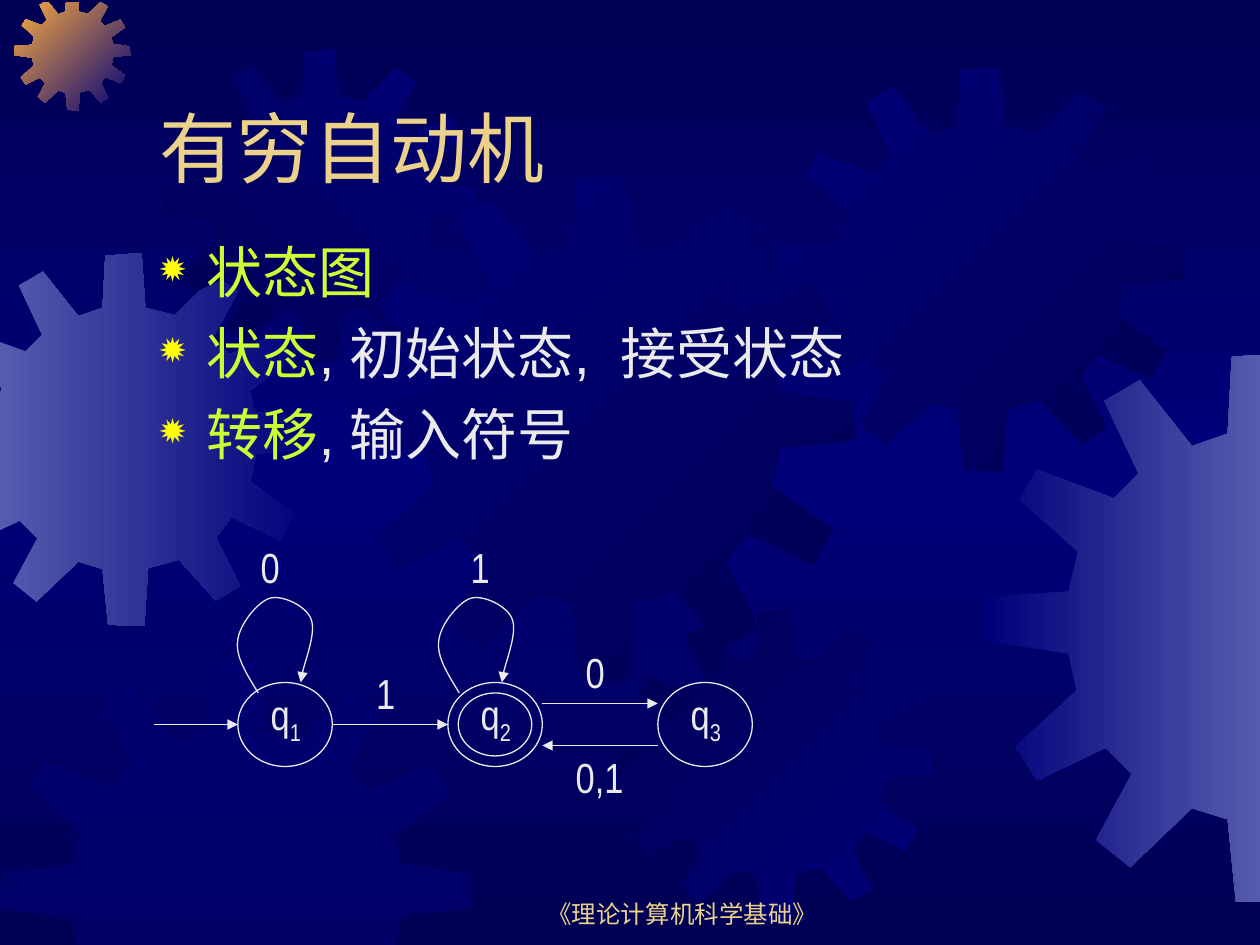
import copy
import pptx
import pptx.dml.color
import pptx.enum.shapes
import pptx.enum.text
import pptx.oxml
import pptx.oxml.ns
import pptx.util

THEME = {
    "night": "000054", "navy": "00007A", "steel": "555BAD", "orange": "FCAB40",
    "gold": "EBD189", "lime": "CCFF33", "chalk": "EAEAEA", "bullet": "FFFF00",
    "font": "Arial", "label_font": "Arial Narrow",
    "title": 44, "body": 32, "label": 24, "footer": 14, "line": 0.75,
}
DRAWING = 'xmlns:a="http://schemas.openxmlformats.org/drawingml/2006/main"'


def write(paragraph, text, size, color, font="font", baseline=None):
    run = paragraph.add_run()
    run.text = text
    run.font.size = pptx.util.Pt(THEME[size])
    run.font.name = THEME[font]
    run.font.color.rgb = pptx.dml.color.RGBColor.from_string(THEME[color])
    if baseline:
        run.font._element.set("baseline", str(baseline * 1000))


def outline(shape, arrow=True):
    shape.line.color.rgb = pptx.dml.color.RGBColor.from_string(THEME["chalk"])
    shape.line.width = pptx.util.Pt(THEME["line"])
    if arrow:
        shape.line._get_or_add_ln().append(
            pptx.oxml.parse_xml(f'<a:tailEnd {DRAWING} type="triangle"/>'))


presentation = pptx.Presentation()
presentation.slide_width = pptx.util.Inches(10)
presentation.slide_height = pptx.util.Inches(7.5)
COLUMNS, ROWS = 120, 90
cell = presentation.slide_width // COLUMNS
slide = presentation.slides.add_slide(presentation.slide_layouts[5])
shapes = slide.shapes

background = slide.background.fill
background.gradient()
background.gradient_angle = 270
stop_list = background.gradient_stops[0]._gs.getparent()
stop_list.append(copy.deepcopy(stop_list[0]))
for stop, color, position in zip(background.gradient_stops, ("night", "navy", "night"), (0, 0.5, 1)):
    stop.color.rgb = pptx.dml.color.RGBColor.from_string(THEME[color])
    stop.position = position

GEAR_SPAN = 401
GEAR = [
    (255, 67), (223, 59), (219, 0), (180, 3), (177, 59), (151, 68), (113, 20), (87, 35),
    (112, 88), (94, 106), (38, 85), (25, 107), (68, 145), (61, 174), (1, 178), (0, 210),
    (61, 219), (67, 246), (22, 287), (38, 312), (88, 288), (107, 307), (81, 355), (106, 375),
    (151, 332), (177, 340), (183, 400), (222, 401), (226, 339), (259, 330), (299, 374), (325, 358),
    (299, 306), (316, 284), (368, 309), (384, 281), (336, 246), (342, 216), (401, 210), (400, 180),
    (341, 171), (335, 148), (383, 114), (367, 87), (313, 109), (296, 91), (323, 41), (297, 25),
]
gears = [
    (-5.9, 24.1, 35.5, "steel", "navy", 0),
    (1.4, -0.5, 11, "orange", "navy", 45),
    (15.6, 4.7, 29.8, "night", "navy", 315),
    (33.2, 16.7, 48.2, "navy", "night", 45),
    (0, 63, 44.9, "navy", None, 0),
    (58.9, 58.1, 29.8, "night", "navy", 45),
    (74.2, 6.4, 38.5, "navy", "night", 45),
    (93.8, 33.6, 52.4, "navy", "steel", 0),
]
slide_edges = [(0, 0, 1), (0, COLUMNS, -1), (1, 0.2, 1), (1, ROWS, -1)]
for left, top, span, first_color, last_color, angle in gears:
    points = [(left + x * span / GEAR_SPAN, top + y * span / GEAR_SPAN) for x, y in GEAR]
    for axis, limit, side in slide_edges:
        kept = []
        for start, end in zip(points, points[1:] + points[:1]):
            start_depth = side * (start[axis] - limit)
            end_depth = side * (end[axis] - limit)
            if start_depth >= 0:
                kept.append(start)
            if start_depth * end_depth < 0:
                share = start_depth / (start_depth - end_depth)
                kept.append(tuple(a + share * (b - a) for a, b in zip(start, end)))
        points = kept
    points = [(x * cell, y * cell) for x, y in points]
    builder = shapes.build_freeform(*points[0])
    builder.add_line_segments(points[1:], close=True)
    gear = builder.convert_to_shape()
    gear.shadow.inherit = False
    gear.line.fill.background()
    if last_color:
        gear.fill.gradient()
        gear.fill.gradient_angle = (360 - angle) % 360
        for stop, color in zip(gear.fill.gradient_stops, (first_color, last_color)):
            stop.color.rgb = pptx.dml.color.RGBColor.from_string(THEME[color])
    else:
        gear.fill.solid()
        gear.fill.fore_color.rgb = pptx.dml.color.RGBColor.from_string(THEME[first_color])
        gear.fill._xPr.find(".//" + pptx.oxml.ns.qn("a:srgbClr")).append(
            pptx.oxml.parse_xml(f'<a:alpha {DRAWING} val="50000"/>'))

footer = shapes.add_textbox(46 * cell, 83 * cell, 38 * cell, 6 * cell).text_frame
footer.word_wrap = True
footer.vertical_anchor = pptx.enum.text.MSO_ANCHOR.BOTTOM
footer.paragraphs[0].alignment = pptx.enum.text.PP_ALIGN.CENTER
write(footer.paragraphs[0], "《理论计算机科学基础》", "footer", "gold")

title = shapes.title
title._element.getparent().append(title._element)
title.left, title.top, title.width, title.height = 14 * cell, 4 * cell, 102 * cell, 15 * cell
title.text_frame.auto_size = pptx.enum.text.MSO_AUTO_SIZE.NONE
title.text_frame.vertical_anchor = pptx.enum.text.MSO_ANCHOR.BOTTOM
title.text_frame.paragraphs[0].alignment = pptx.enum.text.PP_ALIGN.LEFT
write(title.text_frame.paragraphs[0], "有穷自动机", "title", "gold")

body = shapes.add_textbox(14 * cell, 22 * cell, 102 * cell, 25 * cell).text_frame
body.word_wrap = True
topics = [("状态图", ""), ("状态", ", 初始状态,  接受状态"), ("转移", ", 输入符号")]
for index, (term, rest) in enumerate(topics):
    paragraph = body.add_paragraph() if index else body.paragraphs[0]
    properties = paragraph._p.get_or_add_pPr()
    properties.set("marL", str(int(4.5 * cell)))
    properties.set("indent", str(int(-4.5 * cell)))
    for bullet in (f'<a:buClr {DRAWING}><a:srgbClr val="{THEME["bullet"]}"/></a:buClr>',
                   f'<a:buSzPct {DRAWING} val="80000"/>',
                   f'<a:buChar {DRAWING} char="✹"/>'):
        properties.append(pptx.oxml.parse_xml(bullet))
    if index:
        paragraph.space_before = pptx.util.Pt(8)
    write(paragraph, term, "body", "lime")
    if rest:
        write(paragraph, rest, "body", "chalk")

STATE_LEFT, STATE_TOP, STATE_PITCH = 22.65, 65, 20
ellipses = [(STATE_LEFT + STATE_PITCH * state, STATE_TOP, 9, 8) for state in range(3)]
ellipses.append((STATE_LEFT + STATE_PITCH + 1, STATE_TOP + 1, 7, 6))
for bounds in ellipses:
    circle = shapes.add_shape(pptx.enum.shapes.MSO_SHAPE.OVAL, *(int(value * cell) for value in bounds))
    circle.shadow.inherit = False
    circle.fill.background()
    outline(circle, arrow=False)

for start, end, row in [(14.65, 22.65, 69), (31.65, 42.65, 69), (51.65, 62.65, 67), (62.65, 51.65, 71)]:
    arrow = shapes.add_connector(
        pptx.enum.shapes.MSO_CONNECTOR.STRAIGHT,
        *(int(value * cell) for value in (start, row, end, row)))
    outline(arrow)
    arrow._element.spPr.append(pptx.oxml.parse_xml(f"<a:effectLst {DRAWING}/>"))

LOOP = [(24.6, 66), (23.5, 64.2), (22.4, 62.5), (22.65, 61), (22.8, 59.5), (24.5, 57.4),
        (25.65, 57), (26.8, 56.6), (29.2, 57.7), (29.65, 59), (30.1, 60.3), (28.65, 64), (28.65, 65)]
for shift in (0, 19.15):
    points = [((x + shift) * cell, y * cell) for x, y in LOOP]
    builder = shapes.build_freeform(*points[0])
    builder.add_line_segments(points[1:], close=False)
    loop = builder.convert_to_shape()
    loop.shadow.inherit = False
    loop.fill.background()
    outline(loop)
    segments = loop._element.findall(".//" + pptx.oxml.ns.qn("a:lnTo"))
    curve_path = segments[0].getparent()
    for first in range(0, len(segments), 3):
        curve = pptx.oxml.parse_xml(f"<a:cubicBezTo {DRAWING}/>")
        for segment in segments[first:first + 3]:
            curve.append(segment[0])
            curve_path.remove(segment)
        curve_path.append(curve)

labels = [(24.6 + STATE_PITCH * state, 65, 6, "q", str(state + 1)) for state in range(3)]
labels += [(23.65, 51, 6, "0", ""), (54.6, 61, 6, "0", ""), (53.65, 71, 9, "0,1", ""),
           (34.65, 63, 6, "1", ""), (43.65, 51, 6, "1", "")]
for left, top, width, text, subscript in labels:
    label = shapes.add_textbox(int(left * cell), top * cell, width * cell, 6 * cell).text_frame
    label.word_wrap = True
    label.auto_size = pptx.enum.text.MSO_AUTO_SIZE.SHAPE_TO_FIT_TEXT
    write(label.paragraphs[0], text, "label", "chalk", "label_font")
    if subscript:
        write(label.paragraphs[0], subscript, "label", "chalk", "label_font", baseline=-25)

presentation.save("out.pptx")
